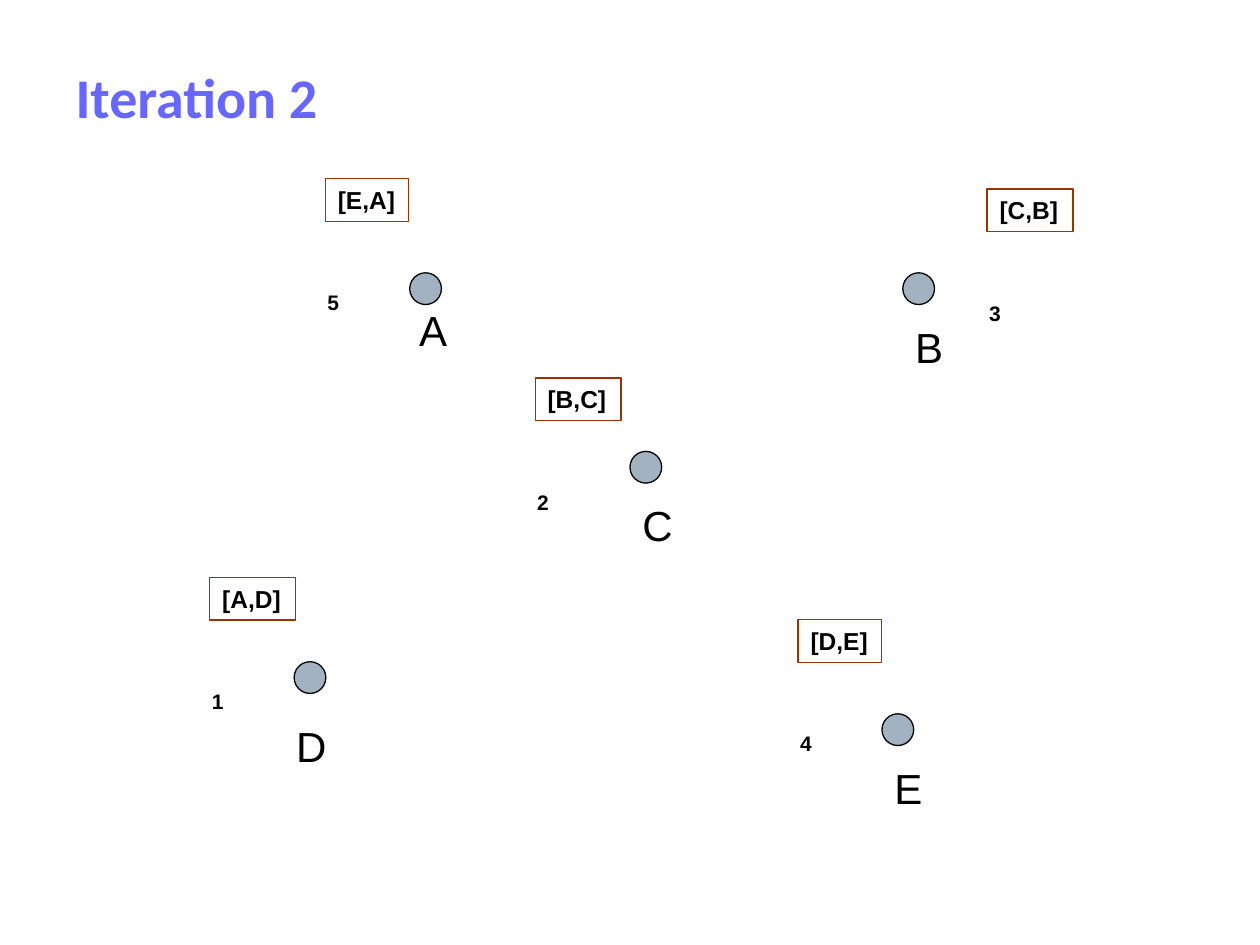
"""Build the slide "Iteration 2": five nodes with their labels, costs and edges."""
import pptx
import pptx.util
import pptx.dml.color
import pptx.enum.shapes
import pptx.enum.text

Cm, Pt = pptx.util.Cm, pptx.util.Pt
kinds = pptx.enum.shapes.MSO_SHAPE
fit = pptx.enum.text.MSO_AUTO_SIZE
anchor = pptx.enum.text.MSO_ANCHOR
align = pptx.enum.text.PP_ALIGN

title_font = {"name": "Calibri", "size": Pt(32), "bold": True}
name_font = {"name": "Arial", "size": Pt(24), "bold": False}
cost_font = {"name": "Arial", "size": Pt(12), "bold": True}
edge_font = {"name": "Arial", "size": Pt(14), "bold": True}
label_frame = {"word_wrap": False, "auto_size": fit.SHAPE_TO_FIT_TEXT, "vertical_anchor": anchor.TOP}
title_frame = {"word_wrap": True, "auto_size": fit.NONE, "vertical_anchor": anchor.BOTTOM}


def tint(fill, hue):
    """Fill with a hex colour."""
    fill.solid()
    fill.fore_color.rgb = pptx.dml.color.RGBColor.from_string(hue)


def write(shape, text, frame, font, hue):
    """Put formatted text in a shape."""
    body = shape.text_frame
    body.text = text
    line = body.paragraphs[0]
    line.alignment = align.LEFT
    run = line.runs[0]
    for part, values in ((body, frame), (run.font, font)):
        for key, value in values.items():
            setattr(part, key, value)
    tint(run.font.fill, hue)


deck = pptx.Presentation()
deck.slide_width, deck.slide_height = Cm(25.4), Cm(19.05)
slide = deck.slides.add_slide(deck.slide_layouts[5])
shapes = slide.shapes

title = shapes.title
title_box = {"left": Cm(1.27), "top": Cm(0.76), "width": Cm(22.86), "height": Cm(1.98)}
for key, value in title_box.items():
    setattr(title, key, value)
write(title, "Iteration 2", title_frame, title_font, "6767FF")

nodes = [
    ("A", (8.26, 5.5), (8.2, 6.02), 0.94),
    ("B", (18.2, 5.5), (18.2, 6.35), 0.94),
    ("D", (5.93, 13.34), (5.72, 14.39), 0.97),
    ("C", (12.7, 9.1), (12.7, 9.95), 0.97),
    ("E", (17.78, 14.39), (17.78, 15.24), 0.94),
]
for name, (x, y), spot, width in nodes:
    dot = shapes.add_shape(kinds.OVAL, Cm(x), Cm(y), Cm(0.64), Cm(0.64))
    dot.shadow.inherit = False
    tint(dot.fill, "A3B2C1")
    tint(dot.line.fill, "000000")
    dot.line.width = Pt(0.75)

for name, spot, (x, y), width in nodes:
    label = shapes.add_textbox(Cm(x), Cm(y), Cm(width), Cm(1.02))
    write(label, name, label_frame, name_font, "000000")

steps = [
    ("3", "[C,B]", 19.69, 5.93, 1.73),
    ("5", "[E,A]", 6.35, 5.72, 1.68),
    ("1", "[A,D]", 4.02, 13.76, 1.73),
    ("2", "[B,C]", 10.58, 9.74, 1.73),
    ("4", "[D,E]", 15.88, 14.61, 1.68),
]
for cost, edge, x, y, width in steps:
    group = shapes.add_group_shape()
    label = group.shapes.add_textbox(Cm(x), Cm(y), Cm(0.74), Cm(0.76))
    write(label, cost, label_frame, cost_font, "000000")
    box = group.shapes.add_shape(kinds.RECTANGLE, Cm(x + 0.21), Cm(y - 2.12), Cm(width), Cm(0.86))
    box.shadow.inherit = False
    box.fill.background()
    tint(box.line.fill, "993300")
    box.line.width = Pt(0.75)
    write(box, edge, label_frame, edge_font, "000000")

deck.save("out.pptx")
